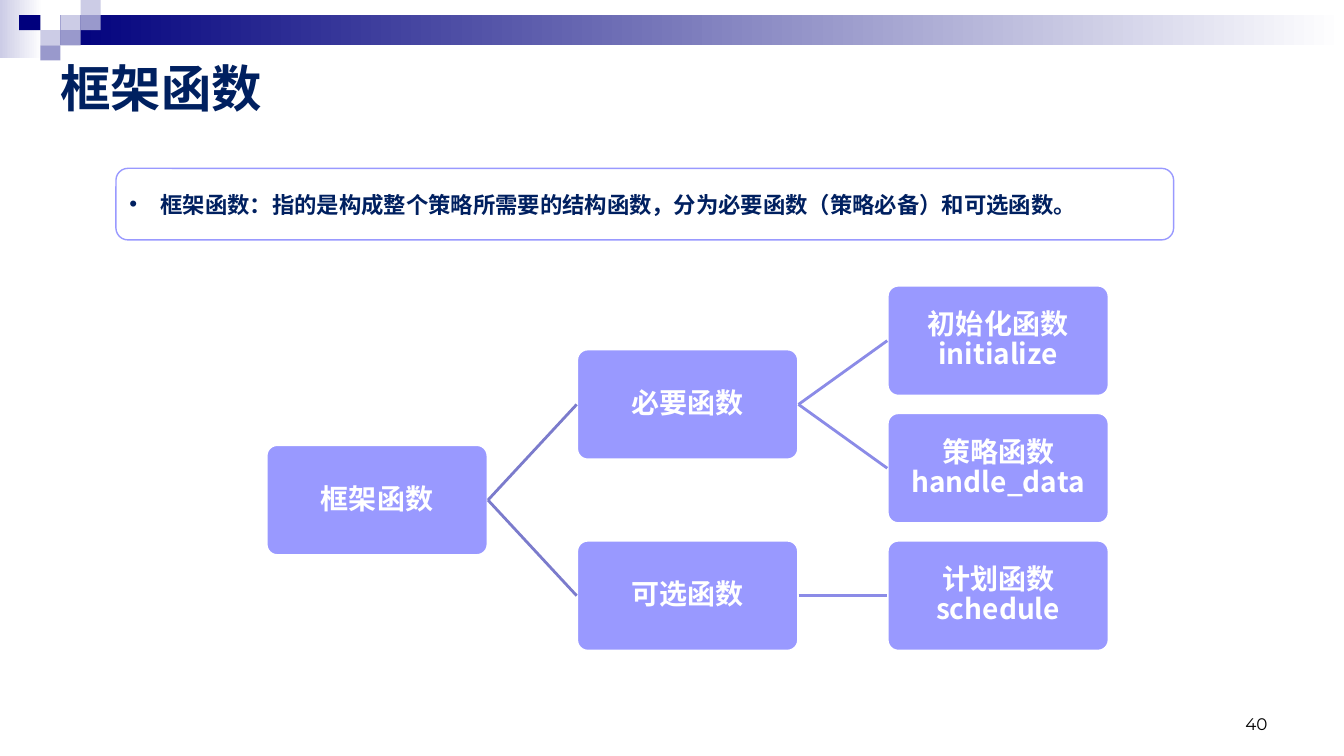
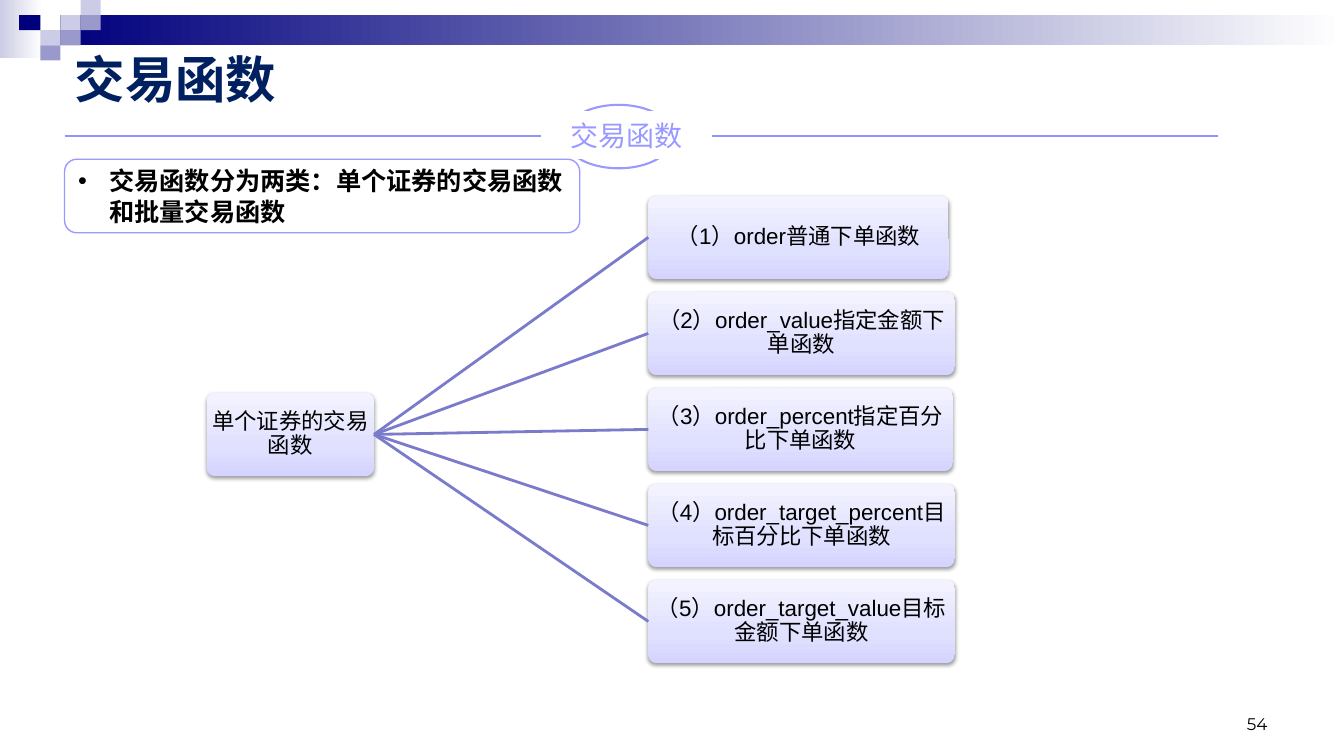
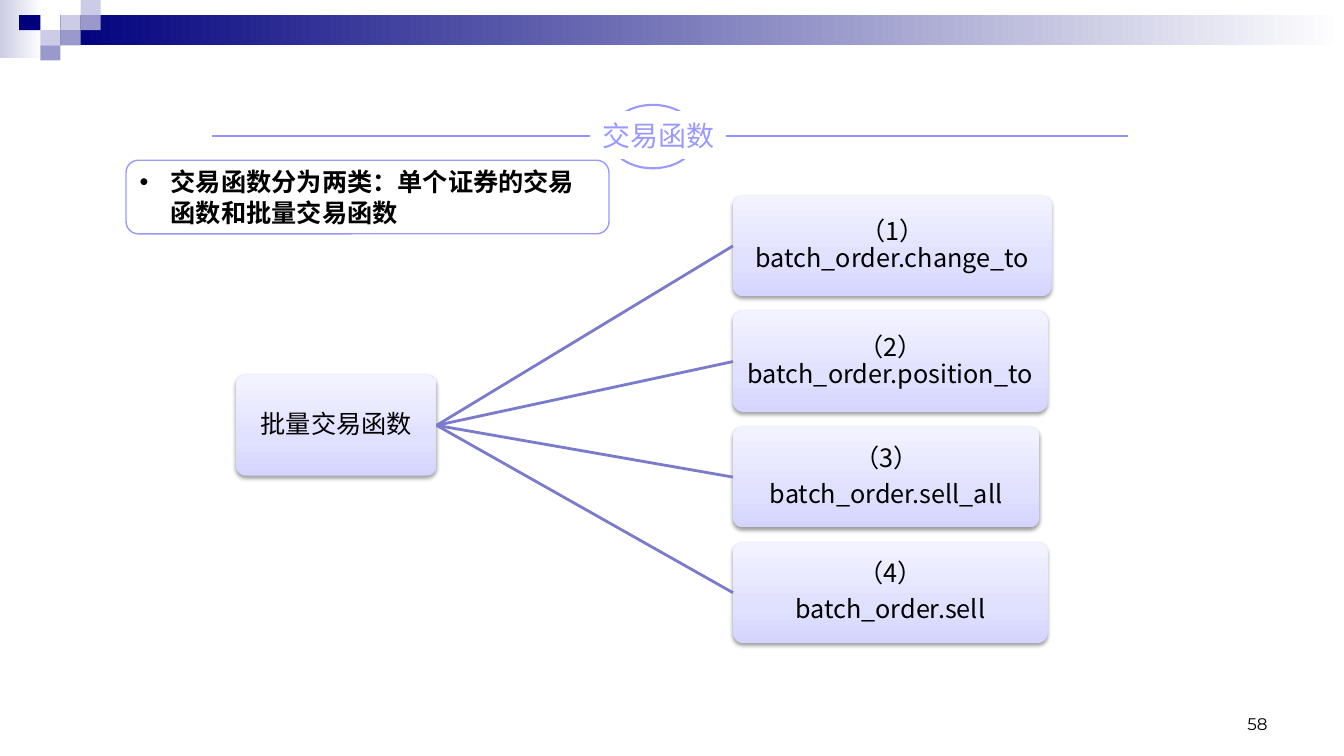
from lxml import etree
from pptx import Presentation
from pptx.dml.color import RGBColor
from pptx.enum.shapes import MSO_CONNECTOR, MSO_SHAPE
from pptx.enum.text import MSO_ANCHOR, MSO_AUTO_SIZE, PP_ALIGN
from pptx.oxml.ns import qn
from pptx.util import Pt

PX = 9144  # 100 px to the inch
RECT, OVAL, ROUND = MSO_SHAPE.RECTANGLE, MSO_SHAPE.OVAL, MSO_SHAPE.ROUNDED_RECTANGLE
STRAIGHT = MSO_CONNECTOR.STRAIGHT
LEFT, CENTER, RIGHT = PP_ALIGN.LEFT, PP_ALIGN.CENTER, PP_ALIGN.RIGHT
MIDDLE, BOTTOM = MSO_ANCHOR.MIDDLE, MSO_ANCHOR.BOTTOM
LEFT_SITE, RIGHT_SITE = 1, 3
TITLE_ONLY, BLANK = 5, 6

CJK = "Noto Sans CJK SC"
THEME = {
    "navy": "00007D", "pale": "CCCCE6", "mid": "9999CC", "white": "FFFFFF",
    "accent": "9999FF", "rule": "9393FC",
    "branches": ["7B7BCC", "8B8BE7"],
    "card": [(0, "D4D4FF"), (35, "E0E0FF"), (100, "F3F3FF")],
    "title": {"size": 36, "bold": True, "name": CJK, "color": "002060"},
    "note": {"size": 18, "bold": True, "name": CJK, "color": "000000"},
    "lead": {"size": 16, "bold": True, "name": CJK, "color": "002060"},
    "heading": {"size": 20, "name": CJK, "color": "9999FF"},
    "solid_node": {"size": 20, "bold": True, "name": CJK, "color": "FFFFFF"},
    "small_node": {"size": 16, "name": "Arial", "color": "000000"},
    "large_node": {"size": 18, "name": CJK, "color": "000000"},
    "page": {"size": 12, "name": "Montserrat", "color": "000000"},
}

# Master decoration: box and colour, or a pair of gradient colours
BANDS = [
    ((0, 0, 42, 58), ("pale", "white")),
    ((60, 15, 1273, 30), ("navy", "white")),
    ((60, 15, 20, 15), "pale"), ((80, 0, 20, 15), "pale"),
    ((80, 15, 20, 15), "mid"), ((40, 30, 20, 15), "pale"),
    ((19, 15, 21, 15), "navy"), ((60, 30, 20, 15), "mid"),
    ((40, 45, 20, 15), "mid"),
]
PAGE_BOX = (956, 683, 311, 50)
TWO_KINDS = "交易函数分为两类：单个证券的交易函数和批量交易函数"

# Tree nodes are (text, width, children)
SLIDES = [
    {
        "page": "40",
        "title": ("框架函数", (50, 51, 223, 71)),
        "note": ("框架函数：指的是构成整个策略所需要的结构函数，分为必要函数（策略必备）和可选函数。",
                 (115, 167, 1049, 71), "lead"),
        "tree": {
            "columns": [264, 572, 880], "first": 283, "last": 536,
            "height": 110, "root_shift": 0, "font": "solid_node",
            "root": ("框架函数", 220, [
                ("必要函数", 220, [
                    ("初始化函数initialize", 220, []),
                    ("策略函数handle_data", 220, []),
                ]),
                ("可选函数", 220, [("计划函数schedule", 220, [])]),
            ]),
        },
    },
    {
        "page": "54",
        "title": ("交易函数", (64, 42, 223, 71)),
        "heading": ("交易函数", (64, 1208), (559, 104, 109, 63), (538, 112, 167, 44)),
        "note": (TWO_KINDS, (64, 158, 511, 73), "note"),
        "tree": {
            "columns": [205, 643], "first": 194, "last": 575,
            "height": 83, "root_shift": 5, "font": "small_node",
            "root": ("单个证券的交易函数", 166, [
                ("（1）order普通下单函数", 298, []),
                ("（2）order_value指定金额下单函数", 304, []),
                ("（3）order_percent指定百分比下单函数", 302, []),
                ("（4）order_target_percent目标百分比下单函数", 304, []),
                ("（5）order_target_value目标金额下单函数", 304, []),
            ]),
        },
    },
    {
        "page": "58",
        "heading": ("交易函数", (210, 1119), (604, 104, 87, 63), (587, 112, 132, 44)),
        "note": (TWO_KINDS, (125, 159, 479, 73), "note"),
        "tree": {
            "columns": [234, 727], "first": 194, "last": 538,
            "height": 100, "root_shift": 6, "font": "large_node",
            "root": ("批量交易函数", 199, [
                ("（1）batch_order.change_to", 316, []),
                ("（2）batch_order.position_to", 312, []),
                ("（3）\nbatch_order.sell_all", 304, []),
                ("（4）\nbatch_order.sell", 312, []),
            ]),
        },
    },
]


def emu(box):
    return [round(value * PX) for value in box]


def set_attributes(target, values):
    for name, value in values.items():
        setattr(target, name, value)


def add_xml(parent, tag, **attributes):
    element = etree.SubElement(parent, qn(tag))
    for name, value in attributes.items():
        element.set(name, str(value))
    return element


def write_text(shape, text, font, align=LEFT, bullet=False, frame=None, spacing=None):
    """Fill a shape with one paragraph per line of text."""
    text_frame = shape.text_frame
    set_attributes(text_frame, {"word_wrap": True, "auto_size": MSO_AUTO_SIZE.NONE,
                                "vertical_anchor": MIDDLE, **(frame or {})})
    style = THEME[font]
    for index, line in enumerate(text.split("\n")):
        paragraph = text_frame.add_paragraph() if index else text_frame.paragraphs[0]
        set_attributes(paragraph, {"alignment": align, **(spacing or {})})
        if bullet:
            properties = paragraph._p.get_or_add_pPr()
            properties.set("marL", str(31 * PX))
            properties.set("indent", str(-31 * PX))
            add_xml(properties, "a:buFont", typeface="Arial")
            add_xml(properties, "a:buChar", char="•")
        run = paragraph.add_run()
        run.text = line
        set_attributes(run.font, {"size": Pt(style["size"]), "name": style["name"],
                                  "bold": style.get("bold", False)})
        run.font.color.rgb = RGBColor.from_string(style["color"])
        add_xml(run._r.get_or_add_rPr(), "a:ea", typeface=CJK)


def fill_gradient(shape, stops, angle):
    shape.fill.gradient()
    gradient = shape.element.spPr.find(qn("a:gradFill"))
    stop_list = gradient.find(qn("a:gsLst"))
    stop_list.clear()
    for position, color in stops:
        stop = add_xml(stop_list, "a:gs", pos=position * 1000)
        add_xml(stop, "a:srgbClr", val=color)
    gradient.find(qn("a:lin")).set("ang", str(angle * 60000))


def add_box(slide, kind, box, fill=None, line=None, angle=0):
    """Add a preset shape; fill is a colour or a list of gradient stops."""
    shape = slide.shapes.add_shape(kind, *emu(box))
    shape.shadow.inherit = False
    if fill is None:
        shape.fill.background()
    elif isinstance(fill, str):
        shape.fill.solid()
        shape.fill.fore_color.rgb = RGBColor.from_string(fill)
    else:
        fill_gradient(shape, fill, angle)
    if line:
        color, width = line
        shape.line.color.rgb = RGBColor.from_string(color)
        shape.line.width = Pt(width)
    else:
        shape.line.fill.background()
    return shape


def add_line(slide, points, color, width):
    connector = slide.shapes.add_connector(STRAIGHT, *emu(points))
    connector.line.color.rgb = RGBColor.from_string(color)
    connector.line.width = Pt(width)
    add_xml(connector.element.spPr, "a:effectLst")
    return connector


def add_bands_to_master(presentation, slide):
    """Draw the corner blocks and bar, then move them to the slide master."""
    master_tree = presentation.slide_master.shapes.element
    for index, (box, colors) in enumerate(BANDS):
        if isinstance(colors, str):
            fill = THEME[colors]
        else:
            fill = [(0, THEME[colors[0]]), (100, THEME[colors[1]])]
        element = add_box(slide, RECT, box, fill).element
        element.nvSpPr.cNvPr.set("id", str(101 + index))
        master_tree.insert(2 + index, element)


def add_heading(slide, text, rule, oval, label):
    add_line(slide, (rule[0], 135, rule[1], 135), THEME["rule"], 1.5)
    add_box(slide, OVAL, oval, THEME["white"], (THEME["accent"], 1.5))
    shape = add_box(slide, RECT, label, THEME["white"], (THEME["white"], 2))
    write_text(shape, text, "heading", CENTER, frame={"word_wrap": False})


def add_note(slide, text, box, font):
    shape = add_box(slide, ROUND, box, line=(THEME["accent"], 1))
    write_text(shape, text, font, bullet=True)


def add_node(slide, text, box, font):
    if font == "solid_node":
        shape = add_box(slide, ROUND, box, THEME["accent"], (THEME["white"], 2))
    else:
        shape = add_box(slide, ROUND, box, THEME["card"], angle=270)
        effects = shape.element.spPr.find(qn("a:effectLst"))
        shadow = add_xml(effects, "a:outerShdw", blurRad=Pt(3.1), dist=Pt(1.6),
                         dir=90 * 60000, rotWithShape=0)
        add_xml(add_xml(shadow, "a:srgbClr", val="000000"), "a:alpha", val=38000)
    shape.adjustments[0] = 0.1
    sides = ("left", "top", "right", "bottom")
    write_text(shape, text, font, CENTER,
               frame={f"margin_{side}": PX for side in sides},
               spacing={"line_spacing": 0.9,
                        "space_after": Pt(0.35 * THEME[font]["size"])})
    return shape


def count_leaves(node):
    return sum(map(count_leaves, node[2])) or 1


def add_tree(slide, tree):
    """Stack the leaves evenly; centre every parent on its children."""
    step = (tree["last"] - tree["first"]) / (count_leaves(tree["root"]) - 1)

    def place(node, level, row):
        text, width, children = node
        placed = []
        next_row = row
        for child in children:
            placed.append(place(child, level + 1, next_row))
            next_row += count_leaves(child)
        if placed:
            top = (placed[0][1] + placed[-1][1]) / 2
        else:
            top = tree["first"] + row * step
        if level == 0:
            top += tree["root_shift"]
        box = (tree["columns"][level], top, width, tree["height"])
        shape = add_node(slide, text, box, tree["font"])
        for child_shape, _ in placed:
            branch = add_line(slide, (0, 0, 0, 0), THEME["branches"][level], 2)
            branch.begin_connect(shape, RIGHT_SITE)
            branch.end_connect(child_shape, LEFT_SITE)
        return shape, top

    place(tree["root"], 0, 0)


def add_title(slide, text, box):
    title = slide.shapes.title
    set_attributes(title, dict(zip(("left", "top", "width", "height"), emu(box))))
    write_text(title, text, "title")


def main():
    presentation = Presentation()
    presentation.slide_width, presentation.slide_height = emu((1333, 750))
    for index, content in enumerate(SLIDES):
        layout = presentation.slide_layouts[TITLE_ONLY if "title" in content else BLANK]
        slide = presentation.slides.add_slide(layout)
        if index == 0:
            add_bands_to_master(presentation, slide)
        if "heading" in content:
            add_heading(slide, *content["heading"])
        add_tree(slide, content["tree"])
        add_note(slide, *content["note"])
        if "title" in content:
            add_title(slide, *content["title"])
        page = slide.shapes.add_textbox(*emu(PAGE_BOX))
        write_text(page, content["page"], "page", RIGHT,
                   frame={"vertical_anchor": BOTTOM})
    presentation.save("out.pptx")


if __name__ == "__main__":
    main()
